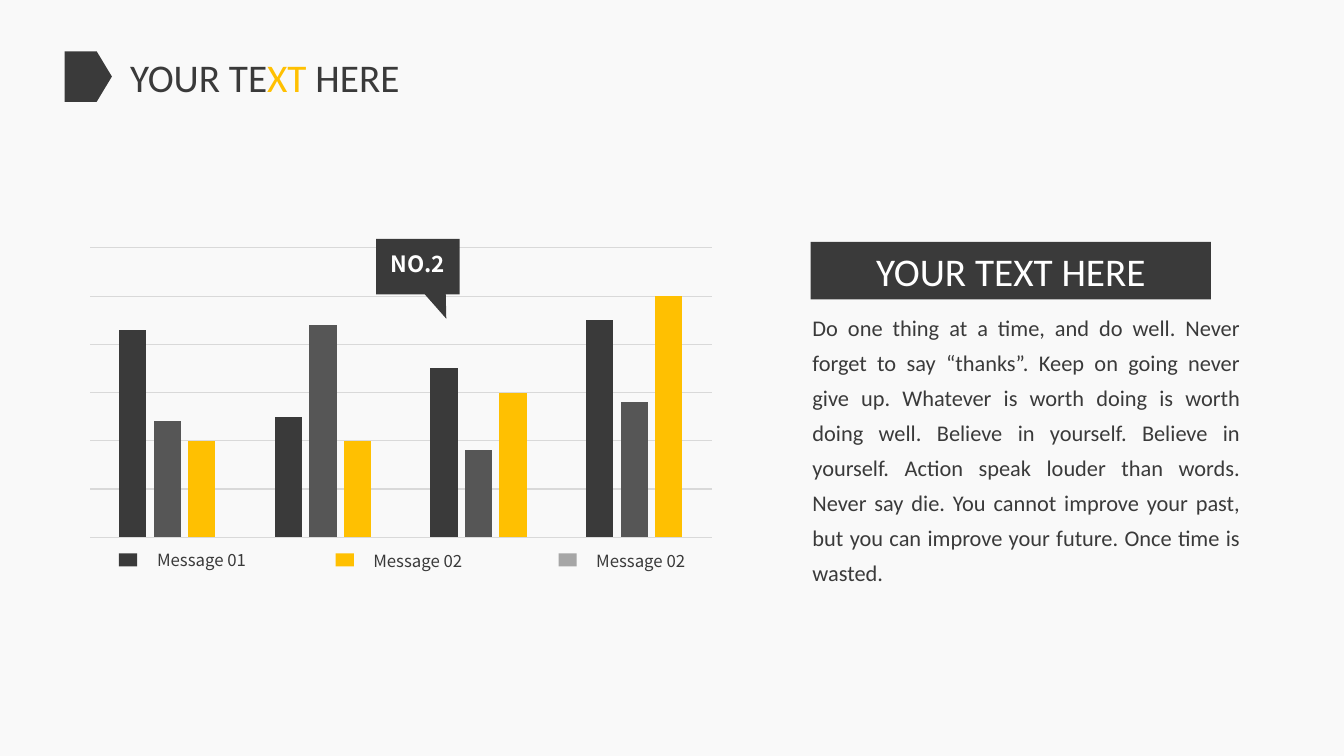
"""Build a slide with a clustered column chart, its legend and a text panel."""
from dataclasses import dataclass

import pptx
import pptx.chart.data
import pptx.dml.color
import pptx.enum.chart
import pptx.enum.shapes
import pptx.enum.text
import pptx.util

PX = 9144
SHAPE = pptx.enum.shapes.MSO_SHAPE
ALIGN = pptx.enum.text.PP_ALIGN
ANCHOR = pptx.enum.text.MSO_ANCHOR


@dataclass(frozen=True)
class Theme:
    background: str = "F9F9F9"
    dark: str = "3A3A3A"
    mid: str = "565656"
    light: str = "A6A6A6"
    accent: str = "FFC001"
    white: str = "FFFFFF"
    grid: str = "D9D9D9"
    black: str = "000000"
    latin: str = "Calibri"
    sans: str = "Noto Sans CJK SC"
    heading: int = 28
    body: int = 16
    label: int = 12
    chart: int = 10


@dataclass(frozen=True)
class Box:
    left: int
    top: int
    width: int
    height: int

    def emu(self) -> tuple[int, int, int, int]:
        return self.left * PX, self.top * PX, self.width * PX, self.height * PX


@dataclass(frozen=True)
class Series:
    name: str
    values: tuple[int, ...]
    color: str


@dataclass(frozen=True)
class LegendItem:
    text: str
    color: str
    swatch_left: int
    label: Box


T = Theme()

SERIES = (
    Series("Series 1", (86, 50, 70, 90), T.dark),
    Series("Series 2", (48, 88, 36, 56), T.mid),
    Series("Series 3", (40, 40, 60, 100), T.accent),
)
LEGEND = (
    LegendItem("Message 01", T.dark, 118, Box(-15, 540, 430, 30)),
    LegendItem("Message 02", T.accent, 333, Box(216, 541, 397, 30)),
    LegendItem("Message 02", T.light, 554, Box(437, 541, 397, 30)),
)
TITLE = (("YOUR TE", T.dark), ("XT", T.accent), (" HERE", T.dark))
BODY = (
    "Do one thing at a time, and do well. Never forget to say “thanks”. "
    "Keep on going never give up. Whatever is worth doing is worth doing well. "
    "Believe in yourself. Believe in yourself. Action speak louder than words. "
    "Never say die. You cannot improve your past, but you can improve your future. "
    "Once time is wasted."
)


def rgb(color: str) -> pptx.dml.color.RGBColor:
    return pptx.dml.color.RGBColor.from_string(color)


def set_font(font, name: str, size: int, color: str, bold: bool = False) -> None:
    font.name = name
    font.size = pptx.util.Pt(size)
    font.bold = bold
    font.color.rgb = rgb(color)


def set_text(sp, text: str, name: str, size: int, color: str, align=ALIGN.CENTER, bold: bool = False):
    tf = sp.text_frame
    tf.word_wrap = True
    p = tf.paragraphs[0]
    p.text = text
    p.alignment = align
    set_font(p.font, name, size, color, bold)
    return p


def add_block(s, kind, box: Box, color: str, adjustments: tuple[float, ...] = ()):
    sp = s.shapes.add_shape(kind, *box.emu())
    sp.shadow.inherit = False
    sp.fill.solid()
    sp.fill.fore_color.rgb = rgb(color)
    sp.line.fill.background()
    for i, value in enumerate(adjustments):
        sp.adjustments[i] = value
    return sp


def add_columns(s, box: Box) -> None:
    data = pptx.chart.data.CategoryChartData()
    data.categories = ["1", "2", "3", "4"]
    for series in SERIES:
        data.add_series(series.name, series.values)
    kind = pptx.enum.chart.XL_CHART_TYPE.COLUMN_CLUSTERED
    chart = s.shapes.add_chart(kind, *box.emu(), data).chart
    chart.has_legend = False
    chart.has_title = False
    set_font(chart.font, T.sans, T.chart, T.black)
    chart.category_axis.visible = False
    axis = chart.value_axis
    axis.visible = False
    axis.minimum_scale, axis.maximum_scale, axis.major_unit = 0, 120, 20
    axis.has_major_gridlines = True
    line = axis.major_gridlines.format.line
    line.color.rgb = rgb(T.grid)
    line.width = pptx.util.Pt(0.75)
    plot = chart.plots[0]
    plot.gap_width, plot.overlap, plot.vary_by_categories = 219, -27, False
    for column, series in zip(plot.series, SERIES):
        column.format.fill.solid()
        column.format.fill.fore_color.rgb = rgb(series.color)


def add_legend_item(s, item: LegendItem) -> None:
    add_block(s, SHAPE.RECTANGLE, Box(item.swatch_left, 549, 18, 13), item.color)
    label = s.shapes.add_textbox(*item.label.emu())
    set_text(label, item.text, T.sans, T.label, T.dark)


def add_title(s, box: Box) -> None:
    sp = s.shapes.title
    sp.left, sp.top, sp.width, sp.height = box.emu()
    p = set_text(sp, "", T.latin, T.heading, T.dark)
    for text, color in TITLE:
        r = p.add_run()
        r.text = text
        r.font.color.rgb = rgb(color)


def main() -> None:
    prs = pptx.Presentation()
    prs.slide_width, prs.slide_height = 1333 * PX, 750 * PX
    s = prs.slides.add_slide(prs.slide_layouts[5])
    s.background.fill.solid()
    s.background.fill.fore_color.rgb = rgb(T.background)

    add_title(s, Box(64, 48, 397, 57))
    add_block(s, SHAPE.PENTAGON, Box(64, 51, 47, 50), T.dark, (0.32,))

    add_columns(s, Box(76, 240, 643, 299))
    for item in LEGEND:
        add_legend_item(s, item)
    callout = add_block(s, SHAPE.RECTANGULAR_CALLOUT, Box(373, 237, 83, 55), T.dark, (0.34, 0.94))
    set_text(callout, "NO.2", T.sans, T.body, T.white, bold=True)
    tf = callout.text_frame
    tf.vertical_anchor = ANCHOR.MIDDLE
    tf.margin_left = tf.margin_right = tf.margin_top = 0
    tf.margin_bottom = 6 * PX

    heading = add_block(s, SHAPE.RECTANGLE, Box(804, 240, 397, 57), T.dark)
    set_text(heading, "YOUR TEXT HERE", T.latin, T.heading, T.white)
    body = s.shapes.add_textbox(*Box(796, 299, 444, 255).emu())
    p = set_text(body, BODY, T.latin, T.body, T.dark, ALIGN.JUSTIFY)
    p.line_spacing = 1.3

    prs.save("out.pptx")


if __name__ == "__main__":
    main()
